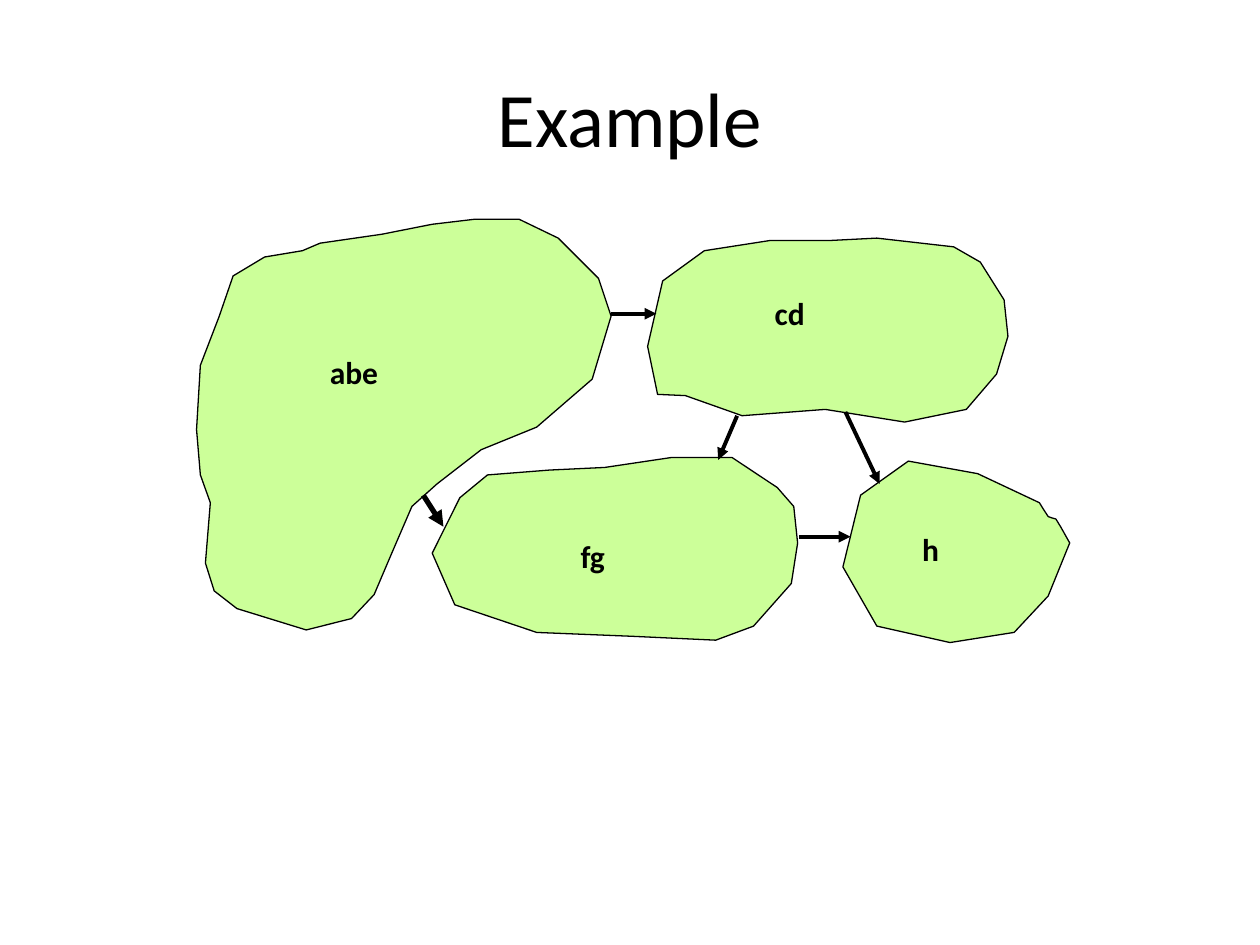
from dataclasses import dataclass

from lxml import etree
from pptx import Presentation
from pptx.dml.color import RGBColor
from pptx.enum.shapes import MSO_CONNECTOR
from pptx.enum.text import MSO_ANCHOR, MSO_AUTO_SIZE, PP_ALIGN
from pptx.oxml.ns import qn
from pptx.util import Pt

STRAIGHT = MSO_CONNECTOR.STRAIGHT
MIDDLE = MSO_ANCHOR.MIDDLE
CENTER = PP_ALIGN.CENTER
FIT_SHAPE = MSO_AUTO_SIZE.SHAPE_TO_FIT_TEXT
FONT = "Calibri"
COLORS = {"region": "CCFF99", "ink": "000000"}

Point = tuple[float, float]


@dataclass
class Region:
    outline: list[Point]


@dataclass
class Label:
    text: str
    left: float
    top: float
    width: float


@dataclass
class Arrow:
    start: Point
    end: Point
    weight: float = 2.25


# Regions, from back to front
REGIONS = [
    Region([  # h
        (558.7, 270.7), (519.1, 263.5), (491.8, 283), (481.7, 324),
        (501.1, 357.8), (542.9, 367.2), (579.6, 361.4), (599, 340.6),
        (611.3, 310.3), (606.2, 301.2), (603.4, 296.6), (601.2, 296),
        (599, 295.2), (596.2, 290.9), (594, 287.3),
    ]),
    Region([  # fg
        (345.6, 267.1), (313.9, 268.6), (278.6, 271.4), (262.8, 284.4),
        (247, 316.1), (259.9, 345.6), (306.7, 361.4), (361.4, 363.6),
        (409, 365.8), (430.6, 357.8), (452.2, 333.4), (455.8, 310.3),
        (453.6, 289.4), (444.2, 278.6), (418.3, 261.4), (383.8, 261.4),
    ]),
    Region([  # cd
        (501.1, 136.1), (473.8, 137.5), (439.9, 137.5), (402.5, 143.3),
        (378.7, 160.6), (370.1, 198), (375.8, 225.4), (391.7, 226.1),
        (424.1, 237.6), (471.6, 234), (517, 241.2), (552.2, 234),
        (569.5, 213.8), (576, 192.2), (573.8, 171.4), (560.2, 149.8),
        (545, 141.1),
    ]),
    Region([  # abe
        (151.2, 146.9), (133.2, 157.7), (125.3, 180.7), (114.5, 208.8),
        (112.3, 245.5), (114.5, 271.4), (120.2, 287.3), (117.4, 321.8),
        (122.4, 337.7), (135.4, 347.8), (175, 360), (200.9, 353.5),
        (213.8, 339.8), (223.9, 316.1), (235.4, 289.4), (249.8, 276.5),
        (275, 257), (306.7, 244.1), (338.4, 216.7), (349.2, 180.7),
        (342, 159.1), (319, 136.1), (296.6, 125.3), (271.4, 125.3),
        (247, 128.2), (218.2, 133.9), (182.9, 139), (172.8, 143.3),
    ]),
]

LABELS = [
    Label("cd", 435.6, 164.2, 38.2),
    Label("h", 519.8, 299.5, 28.1),
    Label("fg", 324.7, 303.1, 34.6),
    Label("abe", 181.4, 198, 50.4),
]

ARROWS = [
    Arrow((349.2, 179.3), (375.1, 179.3)),             # abe to cd
    Arrow((241.9, 283), (253.4, 301), weight=3),       # abe to fg
    Arrow((421.2, 237.6), (410.4, 262.8)),             # cd to fg
    Arrow((483.1, 235.4), (502.6, 276.5)),             # cd to h
    Arrow((456.5, 306.7), (486, 306.7)),               # fg to h
]


def color(name: str) -> RGBColor:
    return RGBColor.from_string(COLORS[name])


def draw_region(slide, region: Region) -> None:
    vertices = [(Pt(x), Pt(y)) for x, y in region.outline]
    builder = slide.shapes.build_freeform(*vertices[0])
    builder.add_line_segments(vertices[1:], close=True)
    shape = builder.convert_to_shape()
    shape.shadow.inherit = False
    shape.fill.solid()
    shape.fill.fore_color.rgb = color("region")
    shape.line.color.rgb = color("ink")
    shape.line.width = Pt(0.75)


def add_text(slide, label: Label, height: float, size: float, bold: bool):
    box = slide.shapes.add_textbox(
        Pt(label.left), Pt(label.top), Pt(label.width), Pt(height))
    paragraph = box.text_frame.paragraphs[0]
    paragraph.text = label.text
    paragraph.font.name = FONT
    paragraph.font.size = Pt(size)
    paragraph.font.bold = bold
    paragraph.font.color.rgb = color("ink")
    return box.text_frame


def draw_title(slide, label: Label) -> None:
    frame = add_text(slide, label, height=90, size=44, bold=False)
    frame.word_wrap = True
    frame.vertical_anchor = MIDDLE
    frame.paragraphs[0].alignment = CENTER


def draw_label(slide, label: Label) -> None:
    frame = add_text(slide, label, height=36, size=18, bold=True)
    frame.word_wrap = False
    frame.auto_size = FIT_SHAPE


def draw_arrow(slide, arrow: Arrow) -> None:
    connector = slide.shapes.add_connector(
        STRAIGHT, *(Pt(value) for value in arrow.start + arrow.end))
    connector.line.color.rgb = color("ink")
    connector.line.width = Pt(arrow.weight)
    properties = connector._element.spPr
    etree.SubElement(properties.find(qn("a:ln")), qn("a:tailEnd"), type="triangle")
    etree.SubElement(properties, qn("a:effectLst"))


presentation = Presentation()
presentation.slide_width = Pt(720)
presentation.slide_height = Pt(540)
slide = presentation.slides.add_slide(presentation.slide_layouts[6])

for region in REGIONS:
    draw_region(slide, region)
draw_title(slide, Label("Example", 36, 21.6, 648))
for label in LABELS:
    draw_label(slide, label)
for arrow in ARROWS:
    draw_arrow(slide, arrow)

presentation.save("out.pptx")
